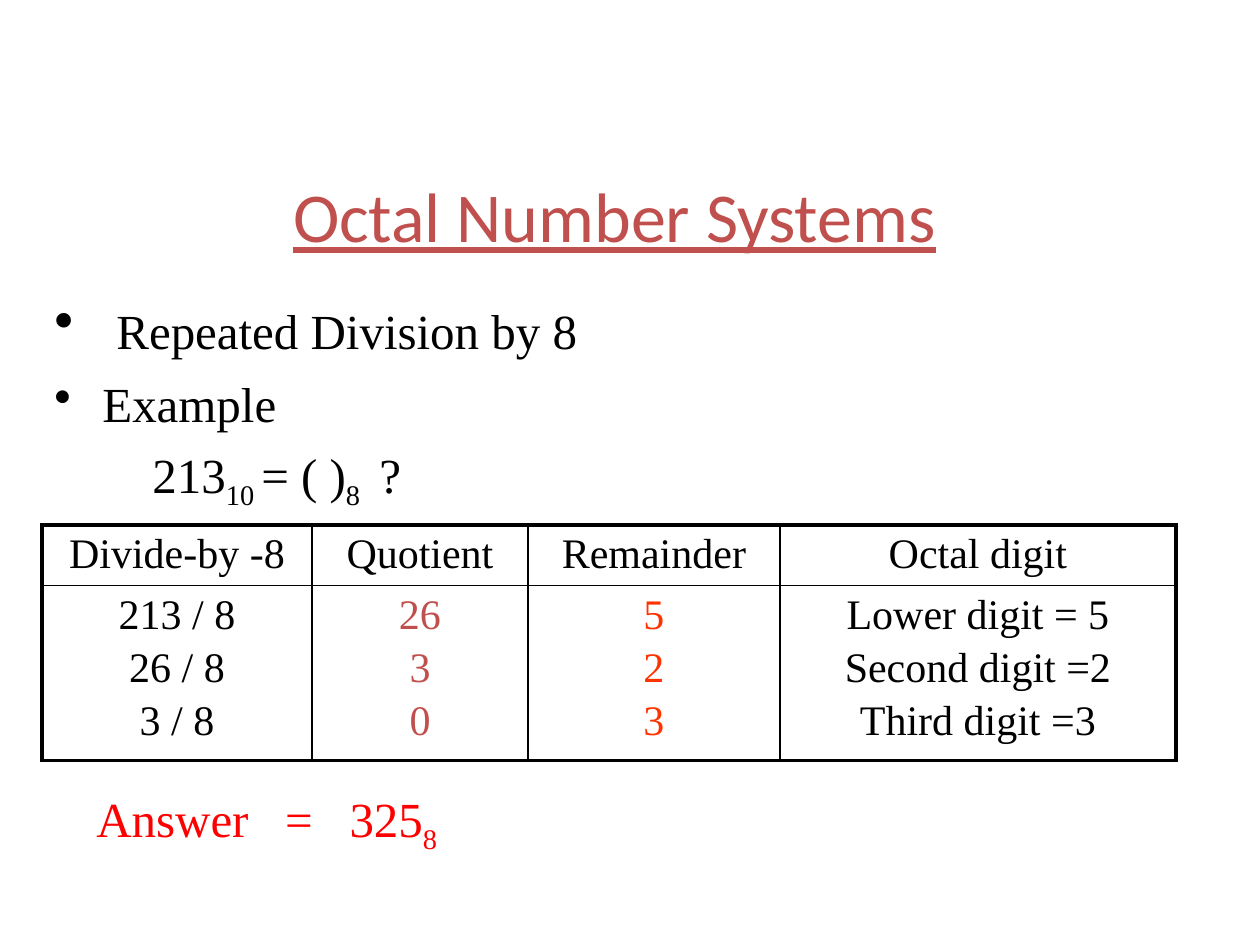
from lxml import etree
from pptx import Presentation
from pptx.dml.color import RGBColor
from pptx.enum import text
from pptx.oxml.ns import qn
from pptx.util import Emu, Pt

BLACK = RGBColor(0, 0, 0)
BRICK = RGBColor(0xC0, 0x50, 0x4D)
ORANGE = RGBColor(0xFF, 0x33, 0x00)
RED = RGBColor(0xFF, 0, 0)
SERIF = "Times New Roman"
SUBSCRIPT = -25000

TITLE = "Octal Number Systems"
# Each paragraph: runs of (text, format), left margin, first-line indent, bullet
BODY = [
    ([(" ", {"size": 32}), ("Repeated Division by 8", {})], 48, -48, "•"),
    ([("Example", {})], 48, -48, "•"),
    ([("213", {}), ("10 ", {"baseline": SUBSCRIPT}), ("= ( )", {}),
      ("8 ", {"baseline": SUBSCRIPT}), (" ?", {})], 98, 0, None),
]
ANSWER = [("Answer   =   325", {}), ("8", {"baseline": SUBSCRIPT})]
# Each column: heading, width, colour of its values, values
COLUMNS = [
    ("Divide-by -8", 270, BLACK, ["213 / 8", "26 / 8", "3 / 8"]),
    ("Quotient", 216, BRICK, ["26", "3", "0"]),
    ("Remainder", 252, ORANGE, ["5", "2", "3"]),
    ("Octal digit", 396, BLACK,
     ["Lower digit = 5", "Second digit =2", "Third digit =3"]),
]
ROW_HEIGHTS = [58, 168]
THIN, THICK = 1, 2.25


def px(length):
    return Emu(round(length * 914400 / 126))


def add_run(paragraph, content, size=28, color=BLACK, font=SERIF,
            baseline=None, underline=None):
    run = paragraph.add_run()
    run.text = content
    run.font.size = Pt(size)
    run.font.name = font
    run.font.color.rgb = color
    run.font.underline = underline
    if baseline is not None:
        run.font._element.set("baseline", str(baseline))


def nth_paragraph(frame, index, space_before):
    """Return the first paragraph, or a new one with space before it."""
    if index == 0:
        return frame.paragraphs[0]
    paragraph = frame.add_paragraph()
    paragraph.space_before = Pt(space_before)
    return paragraph


def add_text_box(slide, left, top, width, height):
    frame = slide.shapes.add_textbox(
        px(left), px(top), px(width), px(height)).text_frame
    frame.word_wrap = True
    frame.margin_top = px(11)
    return frame


def set_indent(paragraph, margin, indent, bullet):
    properties = paragraph._p.get_or_add_pPr()
    properties.set("marL", str(px(margin)))
    properties.set("indent", str(px(indent)))
    if bullet:
        etree.SubElement(properties, qn("a:buChar")).set("char", bullet)


def set_borders(cell, **widths):
    properties = cell._tc.get_or_add_tcPr()
    for index, side in enumerate("LRTB"):
        line = etree.Element(qn(f"a:ln{side}"), w=str(Pt(widths[side])))
        fill = etree.SubElement(line, qn("a:solidFill"))
        etree.SubElement(fill, qn("a:srgbClr")).set("val", str(BLACK))
        properties.insert(index, line)


def fill_cell(cell, lines, color):
    cell.fill.background()
    cell.margin_bottom = px(4)
    for index, line in enumerate(lines):
        paragraph = nth_paragraph(cell.text_frame, index, 3.8)
        paragraph.alignment = text.PP_ALIGN.CENTER
        add_run(paragraph, line, size=24, color=color)


def add_division_table(slide):
    widths = [column[1] for column in COLUMNS]
    table = slide.shapes.add_table(
        len(ROW_HEIGHTS), len(COLUMNS), px(42), px(525),
        px(sum(widths)), px(sum(ROW_HEIGHTS))).table
    table.first_row = table.horz_banding = False
    for row, height in zip(table.rows, ROW_HEIGHTS):
        row.height = px(height)
    last = len(COLUMNS) - 1
    for index, (heading, width, color, values) in enumerate(COLUMNS):
        table.columns[index].width = px(width)
        left = THICK if index == 0 else THIN
        right = THICK if index == last else THIN
        head, body = table.cell(0, index), table.cell(1, index)
        fill_cell(head, [heading], BLACK)
        fill_cell(body, values, color)
        set_borders(head, L=left, R=right, T=THICK, B=THIN)
        set_borders(body, L=left, R=right, T=THIN, B=THICK)


def main():
    presentation = Presentation()
    presentation.slide_width, presentation.slide_height = px(1260), px(945)
    slide = presentation.slides.add_slide(presentation.slide_layouts[5])

    title = slide.shapes.title
    title.left, title.top, title.width, title.height = map(
        px, (126, 147, 977, 136))
    title.text_frame.vertical_anchor = text.MSO_ANCHOR.MIDDLE
    heading = title.text_frame.paragraphs[0]
    heading.alignment = text.PP_ALIGN.CENTER
    add_run(heading, TITLE, size=40, color=BRICK, font="Calibri",
            underline=True)

    body = add_text_box(slide, 42, 283, 1166, 242)
    for index, (runs, margin, indent, bullet) in enumerate(BODY):
        paragraph = nth_paragraph(body, index, 7)
        set_indent(paragraph, margin, indent, bullet)
        for content, style in runs:
            add_run(paragraph, content, **style)

    add_division_table(slide)

    answer = add_text_box(slide, 84, 777, 882, 72).paragraphs[0]
    for content, style in ANSWER:
        add_run(answer, content, color=RED, **style)

    presentation.save("out.pptx")


if __name__ == "__main__":
    main()
